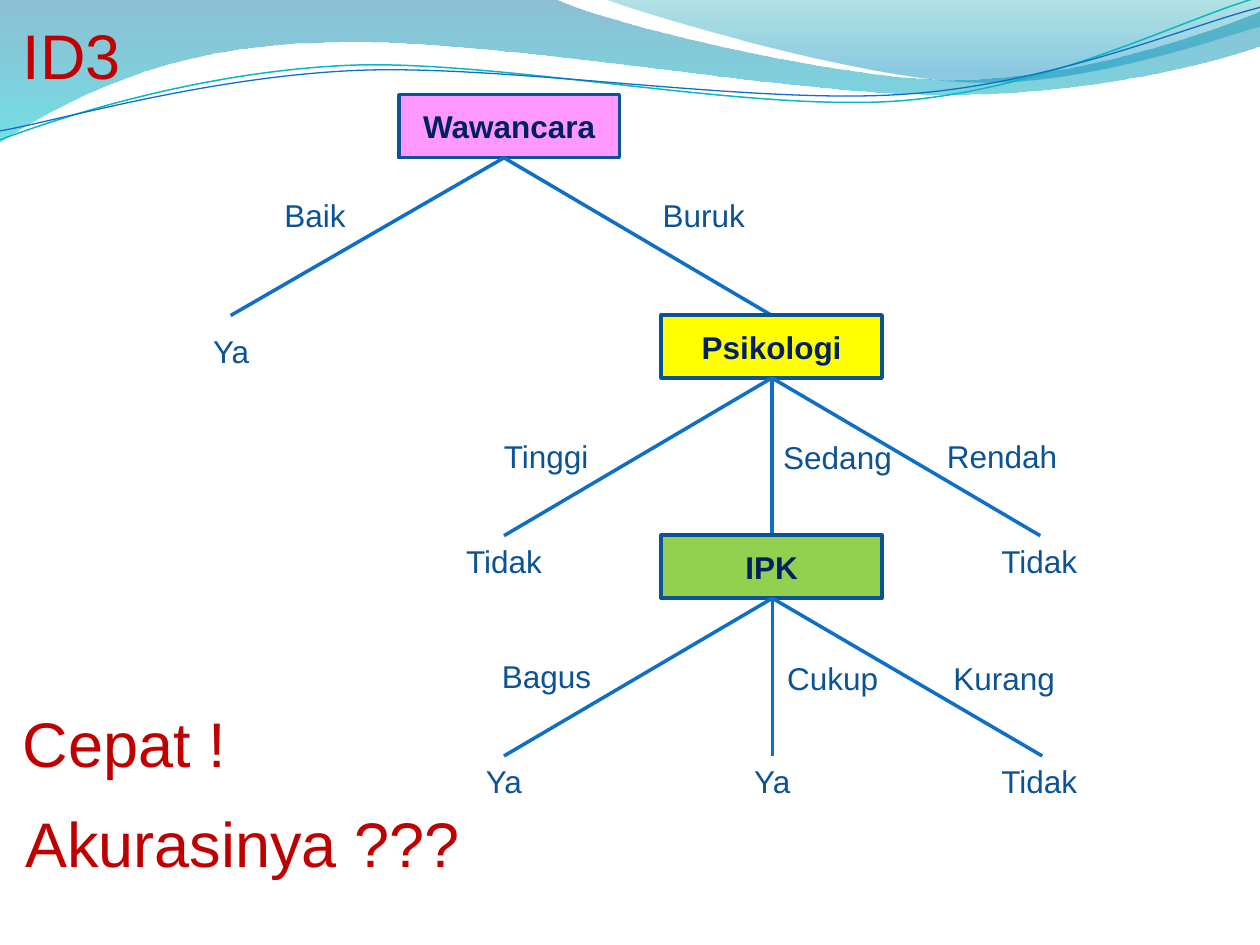
from lxml import etree
from pptx import Presentation
from pptx.dml.color import RGBColor
from pptx.enum import shapes, text
from pptx.oxml.ns import qn
from pptx.util import Cm, Pt

COLORS = {
    "edge": "0F6FC6", "teal": "0AB8BF", "outline": "0B5394", "label": "0B5394",
    "node text": "002060", "heading": "C00000",
    "pink": "FF99FF", "yellow": "FFFF00", "green": "92D050",
    "deep blue": "0074A1", "aqua": "00C6CF", "sea": "00A1A9", "sky": "008BBF",
}
LEFT, CENTER = text.PP_ALIGN.LEFT, text.PP_ALIGN.CENTER

deck = Presentation()
deck.slide_width, deck.slide_height = Cm(25.4), Cm(19.05)
slide = deck.slides.add_slide(deck.slide_layouts[6])


def rgb(name):
    return RGBColor.from_string(COLORS[name])


def write(frame, words, size, color, align, bold=False):
    frame.word_wrap = True
    paragraph = frame.paragraphs[0]
    paragraph.alignment = align
    run = paragraph.add_run()
    run.text = words
    run.font.name, run.font.size, run.font.bold = "Arial", Pt(size), bold
    run.font.color.rgb = rgb(color)


# Waves: a pair is a straight step, six numbers are a Bezier step (cm)
# style: gradient stops (position, colour, opacity %) or a tilted line (colour, width)
waves = [
    ([(0, -0.03), (11.18, -0.03),
      (12.09, 0.43, 16.87, 1.6, 19.25, 1.6),
      (21.67, 1.6, 24.33, 0.66, 25.4, 0.23), (25.43, 0.91),
      (24.97, 1.12, 22.1, 1.93, 18.95, 1.91),
      (15.8, 1.91, 9.7, 0.71, 6.53, 0.86),
      (3.28, 0.89, 1.17, 2.11, -0.03, 2.87), (0, -0.03)],
     [(0, "deep blue", 45), (1, "aqua", 55)], None),
    ([(12.17, -0.03),
      (12.93, 0.28, 17.32, 1.57, 19.53, 1.65),
      (21.74, 1.75, 24.41, 0.81, 25.4, 0.53), (25.4, 0), (12.17, -0.03)],
     [(0, "sea", 30), (0.8, "sky", 45)], None),
    ([(-0.05, 2.22),
      (1.19, 1.82, 4.02, 1.04, 7.05, 1.05),
      (10.05, 1.07, 15.02, 2.37, 18.08, 2.29),
      (21.13, 2.2, 23.86, 0.91, 25.41, 0.55)], None, ("teal", 0.85)),
    ([(-0.04, 2.04),
      (1.16, 1.89, 4.17, 1.15, 7.2, 1.16),
      (10.25, 1.18, 15.13, 2.23, 18.19, 2.16),
      (21.22, 2.1, 23.93, 1.06, 25.45, 0.75)], None, ("edge", 0.75)),
]
for steps, gradient, stroke in waves:
    points = [(Cm(step[i]), Cm(step[i + 1]))
              for step in steps for i in range(0, len(step), 2)]
    builder = slide.shapes.build_freeform(*points[0])
    builder.add_line_segments(points[1:], close=gradient is not None)
    wave = builder.convert_to_shape()
    wave.shadow.inherit = False

    # Join each three control points into one curve
    segments = iter(list(wave.element.iter(qn("a:lnTo"))))
    for step in steps[1:]:
        segment = next(segments)
        if len(step) == 6:
            curve = etree.Element(qn("a:cubicBezTo"))
            segment.addprevious(curve)
            for part in (segment, next(segments), next(segments)):
                curve.append(part[0])
                part.getparent().remove(part)

    if gradient:
        wave.line.fill.background()
        wave.fill.gradient()
        wave.fill.gradient_angle = 270
        for stop, (position, color, opacity) in zip(wave.fill.gradient_stops, gradient):
            stop.position = position
            stop.color.rgb = rgb(color)
        for tone, (_, _, opacity) in zip(wave.element.spPr.iter(qn("a:srgbClr")), gradient):
            etree.SubElement(tone, qn("a:alpha")).set("val", str(opacity * 1000))
    else:
        wave.rotation = 357.3
        wave.fill.background()
        wave.line.color.rgb = rgb(stroke[0])
        wave.line.width = Pt(stroke[1])

# Decision tree: attribute, fill, left, top, fork x, outcome drop,
# branches (value, label left, label drop, width, alignment, end x, outcome, outcome centre)
NODE_W, NODE_H, EDGE_H = 4.45, 1.27, 3.18
BOX_W, BOX_H, WIDE = 2.54, 1.06, 3.38
tree = [
    ("Wawancara", "pink", 8.04, 1.91, 10.16, 0.21, [
        ("Baik", 5.08, 0.64, BOX_W, CENTER, 4.65, "Ya", 4.66),
        ("Buruk", 12.92, 0.64, BOX_W, CENTER, 15.56, None, None)]),
    ("Psikologi", "yellow", 13.33, 6.35, 15.56, 0, [
        ("Tinggi", 9.74, 1.06, BOX_W, CENTER, 10.16, "Tidak", 10.16),
        ("Sedang", 15.54, 1.08, WIDE, LEFT, 15.56, None, None),
        ("Rendah", 18.84, 1.06, WIDE, LEFT, 20.97, "Tidak", 20.95)]),
    ("IPK", "green", 13.33, 10.79, 15.57, 0, [
        ("Bagus", 9.75, 1.06, BOX_W, CENTER, 10.16, "Ya", 10.16),
        ("Cukup", 15.62, 1.1, WIDE, LEFT, 15.57, "Ya", 15.57),
        ("Kurang", 18.97, 1.1, WIDE, LEFT, 21.01, "Tidak", 20.95)]),
]
captions = []
for attribute, fill, left, top, fork, outcome_drop, branches in tree:
    node = slide.shapes.add_shape(shapes.MSO_SHAPE.FLOWCHART_PROCESS,
                                  Cm(left), Cm(top), Cm(NODE_W), Cm(NODE_H))
    node.shadow.inherit = False
    node.fill.solid()
    node.fill.fore_color.rgb = rgb(fill)
    node.line.color.rgb = rgb("outline")
    node.line.width = Pt(2)
    node.text_frame.vertical_anchor = text.MSO_ANCHOR.MIDDLE
    write(node.text_frame, attribute, 18, "node text", CENTER, bold=True)

    start = top + NODE_H
    end = start + EDGE_H
    for value, label_left, label_drop, width, align, end_x, outcome, centre in branches:
        edge = slide.shapes.add_connector(shapes.MSO_CONNECTOR.STRAIGHT,
                                          Cm(fork), Cm(start), Cm(end_x), Cm(end))
        edge.line.color.rgb = rgb("edge")
        edge.line.width = Pt(2)
        etree.SubElement(edge.element.spPr, qn("a:effectLst"))
        captions.append((value, label_left, start + label_drop, width, BOX_H,
                         18, "label", align))
        if outcome:
            captions.append((outcome, centre - BOX_W / 2, end + outcome_drop, BOX_W, BOX_H,
                             18, "label", CENTER))

# Headings
captions += [
    ("ID3", 0.21, 0.21, 4.65, 1.8, 36, "heading", LEFT),
    ("Cepat !", 0.21, 14.07, 6.15, 1.8, 36, "heading", LEFT),
    ("Akurasinya ???", 0.26, 16.09, 10.54, 1.8, 36, "heading", LEFT),
]

# Branch values, outcomes and headings as text
for words, left, top, width, height, size, color, align in captions:
    caption = slide.shapes.add_textbox(Cm(left), Cm(top), Cm(width), Cm(height))
    write(caption.text_frame, words, size, color, align)

deck.save("out.pptx")
